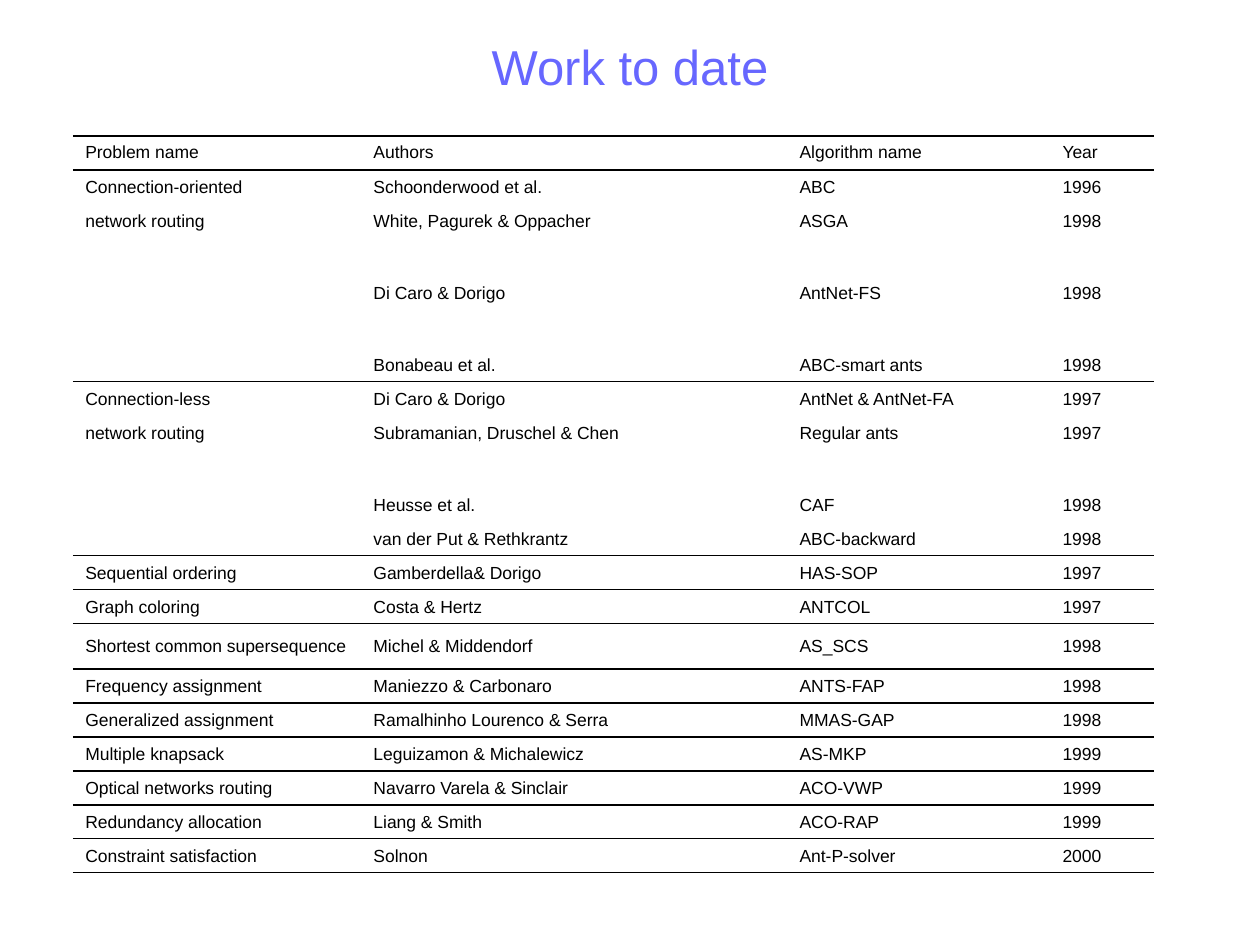
from lxml import etree
from pptx import Presentation
from pptx import util as u
from pptx.dml.color import RGBColor as Rgb
from pptx.enum import text
from pptx.oxml.ns import qn

Cm, Pt = u.Cm, u.Pt
THEME = {"font": "Arial", "head": 28, "body": 10,
         "title": "6767FF", "ink": "000000", "rule": 0.96}

TITLE = "Work to date"
HEADS = ("Problem name", "Authors", "Algorithm name", "Year")
# Each group is ruled off from the next; a row is problem, authors, algorithm, year.
GROUPS = [
    [HEADS],
    [("Connection-oriented", "Schoonderwood et al.", "ABC", "1996"),
     ("network routing", "White, Pagurek & Oppacher", "ASGA", "1998"),
     ("", "Di Caro & Dorigo", "AntNet-FS", "1998"),
     ("", "Bonabeau et al.", "ABC-smart ants", "1998")],
    [("Connection-less", "Di Caro & Dorigo", "AntNet & AntNet-FA", "1997"),
     ("network routing", "Subramanian, Druschel & Chen", "Regular ants", "1997"),
     ("", "Heusse et al.", "CAF", "1998"),
     ("", "van der Put & Rethkrantz", "ABC-backward", "1998")],
    [("Sequential ordering", "Gamberdella& Dorigo", "HAS-SOP", "1997")],
    [("Graph coloring", "Costa & Hertz", "ANTCOL", "1997")],
    [("Shortest common supersequence", "Michel & Middendorf", "AS_SCS", "1998")],
    [("Frequency assignment", "Maniezzo & Carbonaro", "ANTS-FAP", "1998")],
    [("Generalized assignment", "Ramalhinho Lourenco & Serra", "MMAS-GAP", "1998")],
    [("Multiple knapsack", "Leguizamon & Michalewicz", "AS-MKP", "1999")],
    [("Optical networks routing", "Navarro Varela & Sinclair", "ACO-VWP", "1999")],
    [("Redundancy allocation", "Liang & Smith", "ACO-RAP", "1999")],
    [("Constraint satisfaction", "Solnon", "Ant-P-solver", "2000")],
]
LEFT, TOP, HIGH = 1.47, 2.74, 14.86
COLS = (5.81, 8.59, 5.3, 2.1)
TALL = {3: 1.45, 4: 1.45, 7: 1.45, 11: 0.92}
MIDDLE = {0, 11}
HANG = Cm(0.96)


def write(para, words, size, color):
    run = para.add_run()
    run.text = words
    run.font.name = THEME["font"]
    run.font.size = Pt(size)
    run.font.color.rgb = Rgb.from_string(color)


def border(cell, sides):
    """Rule the named sides of a cell (T, B) and clear the others."""
    props = cell._tc.get_or_add_tcPr()
    for spot, side in enumerate("LRTB"):
        line = etree.Element(qn("a:ln" + side), w=str(Pt(THEME["rule"])))
        if side in sides:
            fill = etree.SubElement(line, qn("a:solidFill"))
            etree.SubElement(fill, qn("a:srgbClr"), val=THEME["ink"])
        else:
            etree.SubElement(line, qn("a:noFill"))
        props.insert(spot, line)


def fill_cell(cell, words, anchor, sides):
    cell.fill.background()
    cell.vertical_anchor = anchor
    cell.margin_left = cell.margin_right = Cm(0.25)
    cell.margin_top = cell.margin_bottom = Cm(0.13)
    border(cell, sides)
    para = cell.text_frame.paragraphs[0]
    if words:
        props = para._p.get_or_add_pPr()
        props.set("marL", str(HANG))
        props.set("indent", str(-HANG))
        write(para, words, THEME["body"], THEME["ink"])
    else:  # keeps an empty cell from stretching its row
        etree.SubElement(para._p, qn("a:endParaRPr"), sz=str(THEME["body"] * 100))


def add_title(slide):
    title = slide.shapes.title
    title.left, title.top = Cm(1.27), Cm(0.76)
    title.width, title.height = Cm(22.86), Cm(1.14)
    frame = title.text_frame
    frame.vertical_anchor = text.MSO_ANCHOR.MIDDLE
    para = frame.paragraphs[0]
    para.alignment = text.PP_ALIGN.CENTER
    write(para, TITLE, THEME["head"], THEME["title"])


def add_grid(slide):
    rows = [(row, ("T" if i == 0 else "") + ("B" if i == len(group) - 1 else ""))
            for group in GROUPS for i, row in enumerate(group)]
    low = (HIGH - sum(TALL.values())) / (len(rows) - len(TALL))
    grid = slide.shapes.add_table(len(rows), len(COLS), Cm(LEFT), Cm(TOP),
                                  Cm(sum(COLS)), Cm(HIGH)).table
    grid.first_row = grid.horz_banding = False
    for col, wide in zip(grid.columns, COLS):
        col.width = Cm(wide)
    for r, (row, sides) in enumerate(rows):
        grid.rows[r].height = Cm(TALL.get(r, low))
        anchor = text.MSO_ANCHOR.MIDDLE if r in MIDDLE else text.MSO_ANCHOR.BOTTOM
        for c, words in enumerate(row):
            fill_cell(grid.cell(r, c), words, anchor, sides)


def main():
    deck = Presentation()
    deck.slide_width, deck.slide_height = Cm(25.4), Cm(19.05)
    slide = deck.slides.add_slide(deck.slide_layouts[5])
    add_title(slide)
    add_grid(slide)
    deck.save("out.pptx")


if __name__ == "__main__":
    main()
